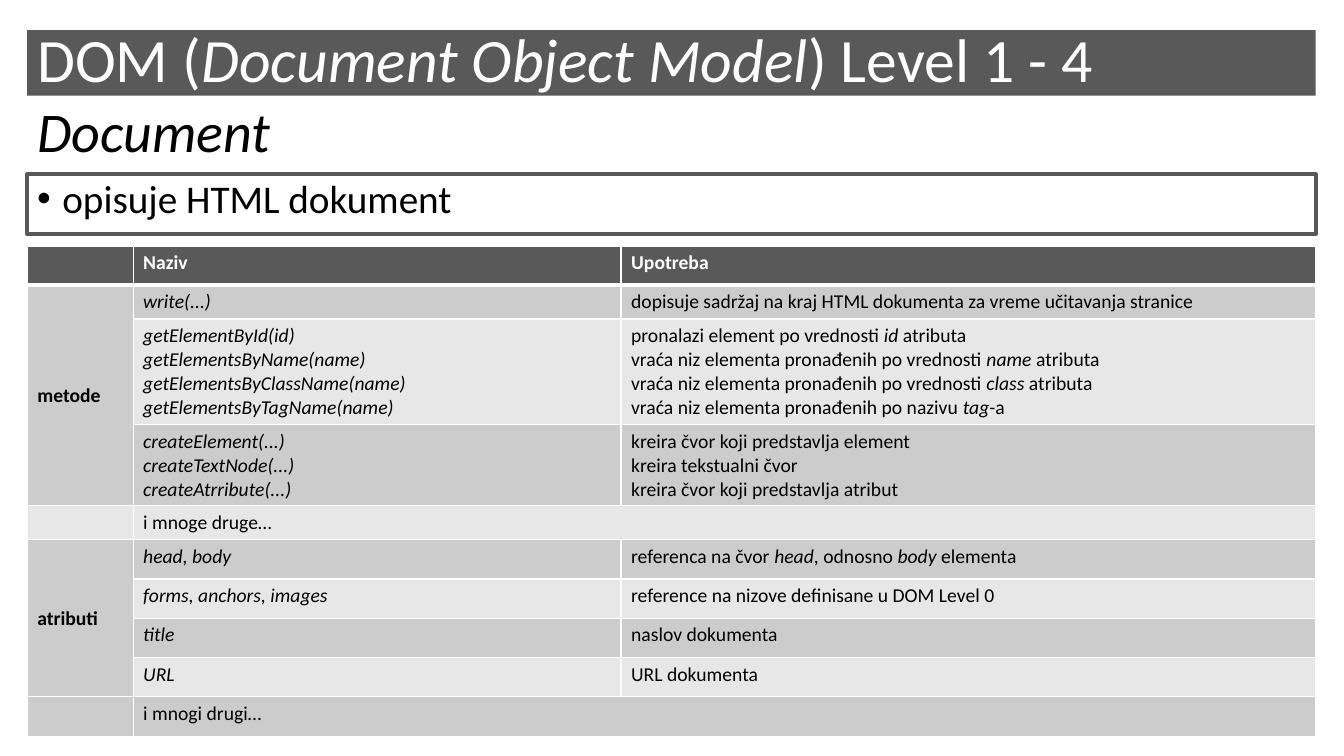
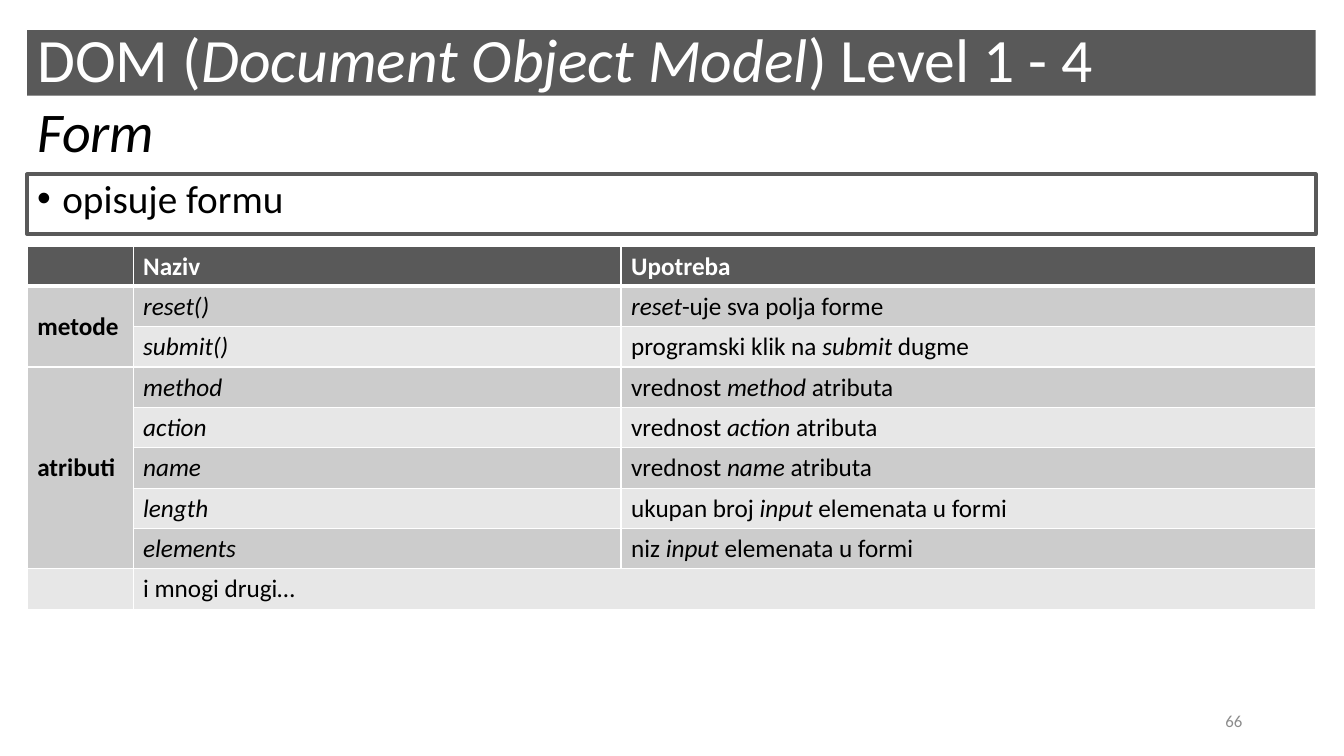
from lxml import etree
from pptx import Presentation
from pptx import util as u
from pptx.dml import color
from pptx.enum import shapes, text
from pptx.oxml import ns

DARK, WHITE, BLACK, GREY = "595959", "FFFFFF", "000000", "8C8C8C"
BANDS = ("E7E7E7", "CCCCCC")
FONT = "Calibri"
LEFT, WIDTH = 0.27, 12.78
COLUMNS = (1.05, 4.84, 6.89)
TITLE = "DOM (*Document Object Model*) Level 1 - 4"
TITLE_BOX = (LEFT, 0.3, WIDTH, 0.65)
SUBTITLE_BOX = (LEFT, 1.05, WIDTH, 0.57)
POINT_BOX = (LEFT, 1.73, WIDTH, 0.59)
TABLE_BOX = (LEFT, 2.44, WIDTH)
NUMBER_BOX = (9.42, 6.95, 3, 0.4)

HEADER = ("", "Naziv", "Upotreba", 0.39)
DOCUMENT_ROWS = [
    HEADER,
    ("metode", "*write(...)*",
     "dopisuje sadržaj na kraj HTML dokumenta za vreme učitavanja stranice", 0.33),
    (None,
     "*getElementById(id)*\n*getElementsByName(name)*\n"
     "*getElementsByClassName(name)*\n*getElementsByTagName(name)*",
     "pronalazi element po vrednosti *id* atributa\n"
     "vraća niz elementa pronađenih po vrednosti *name* atributa\n"
     "vraća niz elementa pronađenih po vrednosti *class* atributa\n"
     "vraća niz elementa pronađenih po nazivu *tag*-a", 1.05),
    (None, "*createElement(...)*\n*createTextNode(...)*\n*createAtrribute(...)*",
     "kreira čvor koji predstavlja element\nkreira tekstualni čvor\n"
     "kreira čvor koji predstavlja atribut", 0.8),
    ("", "i mnoge druge…", None, 0.34),
    ("atributi", "*head, body*",
     "referenca na čvor *head*, odnosno *body *elementa", 0.39),
    (None, "*forms, anchors, images*",
     "reference na nizove definisane u DOM Level 0", 0.39),
    (None, "*title*", "naslov dokumenta", 0.39),
    (None, "*URL*", "URL dokumenta", 0.39),
    ("", "i mnogi drugi…", None, 0.39),
]
FORM_ROWS = [
    HEADER,
    ("metode", "*reset()*", "*reset*-uje sva polja forme", 0.4),
    (None, "*submit()*", "programski klik na *submit* dugme", 0.4),
    ("atributi", "*method*", "vrednost *method* atributa", 0.4),
    (None, "*action*", "vrednost *action* atributa", 0.4),
    (None, "*name*", "vrednost *name* atributa", 0.4),
    (None, "*length*", "ukupan broj *input *elemenata u formi", 0.4),
    (None, "*elements*", "niz *input* elemenata u formi", 0.4),
    ("", "i mnogi drugi…", None, 0.4),
]


def rgb(value):
    return color.RGBColor.from_string(value)


def apply(target, values):
    for name, value in values.items():
        setattr(target, name, value)


def inches(box):
    return [u.Inches(length) for length in box]


def write(frame, content, size, colour, bold=False, **paragraph_format):
    for index, line in enumerate(content.split("\n")):
        paragraph = frame.paragraphs[0] if index == 0 else frame.add_paragraph()
        apply(paragraph, paragraph_format)
        for part, words in enumerate(line.split("*")):
            if words:
                run = paragraph.add_run()
                run.text = words
                apply(run.font, {"name": FONT, "size": u.Pt(size), "bold": bold,
                                 "italic": part % 2 == 1})
                run.font.color.rgb = rgb(colour)
        if not line:
            etree.SubElement(paragraph._p, ns.qn("a:endParaRPr"), sz=str(size * 100))


def add_text(slide, box, content, size, colour, **paragraph_format):
    frame = slide.shapes.add_textbox(*inches(box)).text_frame
    apply(frame, {"word_wrap": True, "vertical_anchor": text.MSO_ANCHOR.MIDDLE})
    write(frame, content, size, colour, **paragraph_format)


def add_box(slide, box, anchor):
    shape = slide.shapes.add_shape(shapes.MSO_SHAPE.RECTANGLE, *inches(box))
    shape.shadow.inherit = False
    apply(shape.text_frame, {"word_wrap": True, "vertical_anchor": anchor})
    return shape


def add_title(slide, box):
    shape = add_box(slide, box, text.MSO_ANCHOR.MIDDLE)
    shape.fill.solid()
    shape.fill.fore_color.rgb = rgb(DARK)
    shape.line.fill.background()
    write(shape.text_frame, TITLE, 44, WHITE,
          line_spacing=0.9, alignment=text.PP_ALIGN.LEFT)


def add_point(slide, box, content):
    shape = add_box(slide, box, text.MSO_ANCHOR.TOP)
    shape.fill.background()
    shape.line.color.rgb = rgb(DARK)
    shape.line.width = u.Pt(3)
    write(shape.text_frame, content, 28, BLACK,
          line_spacing=0.9, alignment=text.PP_ALIGN.LEFT)
    properties = shape.text_frame.paragraphs[0]._p.get_or_add_pPr()
    indent = u.Inches(0.25)
    properties.set("marL", str(indent))
    properties.set("indent", str(-indent))
    etree.SubElement(properties, ns.qn("a:buFont"), typeface="Arial")
    etree.SubElement(properties, ns.qn("a:buChar"), char="•")


def add_borders(cell, bottom, top):
    properties = cell._tc.get_or_add_tcPr()
    for side, width in (("L", 1), ("R", 1), ("T", top), ("B", bottom)):
        line = etree.SubElement(properties, ns.qn("a:ln" + side), w=str(u.Pt(width)))
        fill = etree.SubElement(line, ns.qn("a:solidFill"))
        etree.SubElement(fill, ns.qn("a:srgbClr"), val=WHITE)


def add_table(slide, box, rows, size):
    heights = [row[3] for row in rows]
    frame = slide.shapes.add_table(
        len(rows), len(COLUMNS), *inches((*box, sum(heights))))
    table = frame.table
    apply(table, {"first_row": False, "horz_banding": False})
    for column, width in zip(table.columns, COLUMNS):
        column.width = u.Inches(width)
    label_row = 0
    for index, (*contents, height) in enumerate(rows):
        table.rows[index].height = u.Inches(height)
        header = index == 0
        for position, content in enumerate(contents):
            cell = table.cell(index, position)
            add_borders(cell, bottom=3 if header else 1, top=3 if index == 1 else 1)
            cell.fill.solid()
            cell.fill.fore_color.rgb = rgb(DARK if header else BANDS[index % 2])
            if position == 0:
                cell.vertical_anchor = text.MSO_ANCHOR.MIDDLE
            write(cell.text_frame, content or "", size,
                  WHITE if header else BLACK, bold=header or position == 0)
        if contents[2] is None:
            table.cell(index, 1).merge(table.cell(index, 2))
        if contents[0] is not None:
            label_row = index
        elif index + 1 == len(rows) or rows[index + 1][0] is not None:
            table.cell(label_row, 0).merge(table.cell(index, 0))


def add_object_slide(presentation, subtitle, point, rows, size, number=None):
    slide = presentation.slides.add_slide(presentation.slide_layouts[6])
    add_text(slide, SUBTITLE_BOX, f"*{subtitle}*", 40, BLACK, line_spacing=0.9)
    if number:
        add_text(slide, NUMBER_BOX, number, 12, GREY, alignment=text.PP_ALIGN.RIGHT)
    add_point(slide, POINT_BOX, point)
    add_title(slide, TITLE_BOX)
    add_table(slide, TABLE_BOX, rows, size)


def main():
    presentation = Presentation()
    apply(presentation, {"slide_width": u.Inches(13.33), "slide_height": u.Inches(7.5)})
    add_object_slide(presentation, "Document", "opisuje HTML dokument", DOCUMENT_ROWS, 14)
    add_object_slide(presentation, "Form", "opisuje formu", FORM_ROWS, 18, "66")
    presentation.save("out.pptx")


if __name__ == "__main__":
    main()
